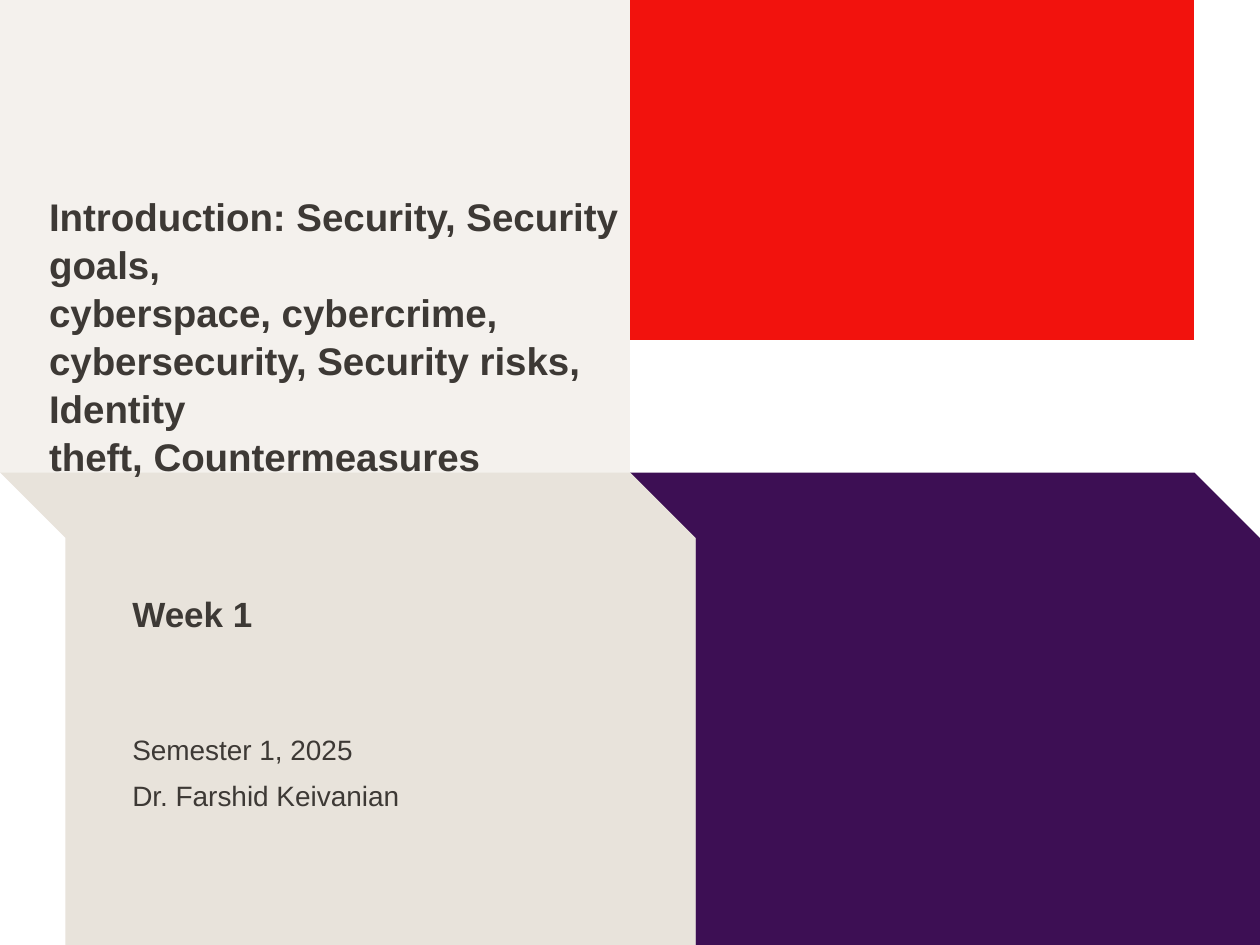
from dataclasses import dataclass

from pptx import Presentation
from pptx.dml.color import RGBColor
from pptx.enum.text import MSO_ANCHOR as Anchor, MSO_AUTO_SIZE as AutoSize, PP_ALIGN as Align
from pptx.util import Inches, Pt

WIDTH, HEIGHT = 10, 7.5
MIDDLE_X, MIDDLE_Y = WIDTH / 2, HEIGHT / 2
FOLD = 0.52
INK = "3D3935"


@dataclass
class Panel:
    points: list[tuple[float, float]]
    color: str


@dataclass
class Label:
    lines: list[str]
    left: float
    top: float
    width: float
    height: float
    size: float
    bold: bool = False
    inset_top: float = 0.01
    space_before: float = 1
    line_spacing: float = 1.0


def rgb(color: str) -> RGBColor:
    return RGBColor.from_string(color)


def apply_format(target, values: dict) -> None:
    for name, value in values.items():
        setattr(target, name, value)


def rectangle(left: float, top: float, right: float, bottom: float) -> list[tuple[float, float]]:
    return [(left, top), (right, top), (right, bottom), (left, bottom)]


def folded(left: float, right: float) -> list[tuple[float, float]]:
    fold_y = MIDDLE_Y + FOLD
    return [
        (left, MIDDLE_Y),
        (left + FOLD, fold_y),
        (left + FOLD, HEIGHT),
        (right + FOLD, HEIGHT),
        (right + FOLD, fold_y),
        (right, MIDDLE_Y),
    ]


def draw_panel(slide, panel: Panel) -> None:
    points = [(Inches(x), Inches(y)) for x, y in panel.points]
    builder = slide.shapes.build_freeform(*points[0])
    builder.add_line_segments(points[1:], close=True)
    shape = builder.convert_to_shape()
    shape.fill.solid()
    shape.fill.fore_color.rgb = rgb(panel.color)
    shape.line.fill.background()
    shape.shadow.inherit = False


def draw_label(slide, label: Label) -> None:
    box = (label.left, label.top, label.width, label.height)
    frame = slide.shapes.add_textbox(*map(Inches, box)).text_frame
    apply_format(frame, {
        "word_wrap": True,
        "auto_size": AutoSize.SHAPE_TO_FIT_TEXT,
        "vertical_anchor": Anchor.TOP,
        "margin_left": 0,
        "margin_right": 0,
        "margin_top": Inches(label.inset_top),
        "margin_bottom": 0,
    })
    paragraph = frame.paragraphs[0]
    paragraph.text = "\v".join(label.lines)
    apply_format(paragraph, {
        "alignment": Align.LEFT,
        "space_before": Pt(label.space_before),
        "line_spacing": label.line_spacing,
    })
    paragraph._p.get_or_add_pPr().set("marL", str(Inches(0.01)))
    for run in paragraph.runs:
        apply_format(run.font, {"name": "Arial", "size": Pt(label.size), "bold": label.bold})
        run.font.color.rgb = rgb(INK)


PANELS = [
    Panel(rectangle(MIDDLE_X, 0, WIDTH - FOLD, 2.7), "F2120D"),
    Panel(folded(MIDDLE_X, WIDTH - FOLD), "3D0F54"),
    Panel(rectangle(0, 0, MIDDLE_X, MIDDLE_Y), "F4F1ED"),
    Panel(folded(0, MIDDLE_X), "E8E3DB"),
]

TITLE_LINES = [
    "Introduction: Security, Security goals,",
    "cyberspace, cybercrime,",
    "cybersecurity, Security risks, Identity",
    "theft, Countermeasures",
]
DETAIL = {"size": 16, "inset_top": 0.11, "space_before": 7.2}
LABELS = [
    Label(TITLE_LINES, 0.38, 1.51, 4.57, 2.24, size=22, bold=True, line_spacing=1.04),
    Label(["Week 1"], 1.04, 4.69, 0.98, 0.36, size=20, bold=True),
    Label(["Semester 1, 2025"], 1.04, 5.7, 1.77, 0.38, **DETAIL),
    Label(["Dr. Farshid Keivanian"], 1.04, 6.07, 2.21, 0.38, **DETAIL),
]


def main() -> None:
    presentation = Presentation()
    presentation.slide_width = Inches(WIDTH)
    presentation.slide_height = Inches(HEIGHT)
    slide = presentation.slides.add_slide(presentation.slide_layouts[6])
    for panel in PANELS:
        draw_panel(slide, panel)
    for label in LABELS:
        draw_label(slide, label)
    presentation.save("out.pptx")


if __name__ == "__main__":
    main()
